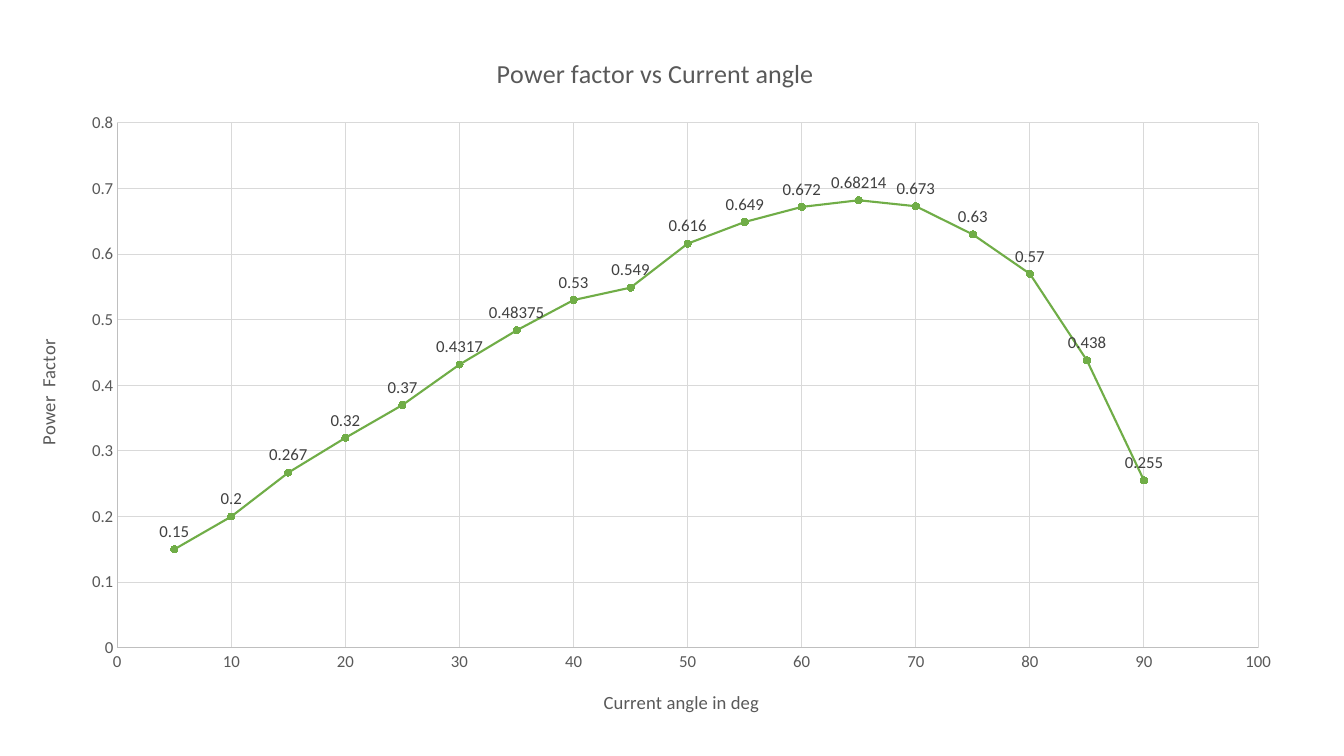
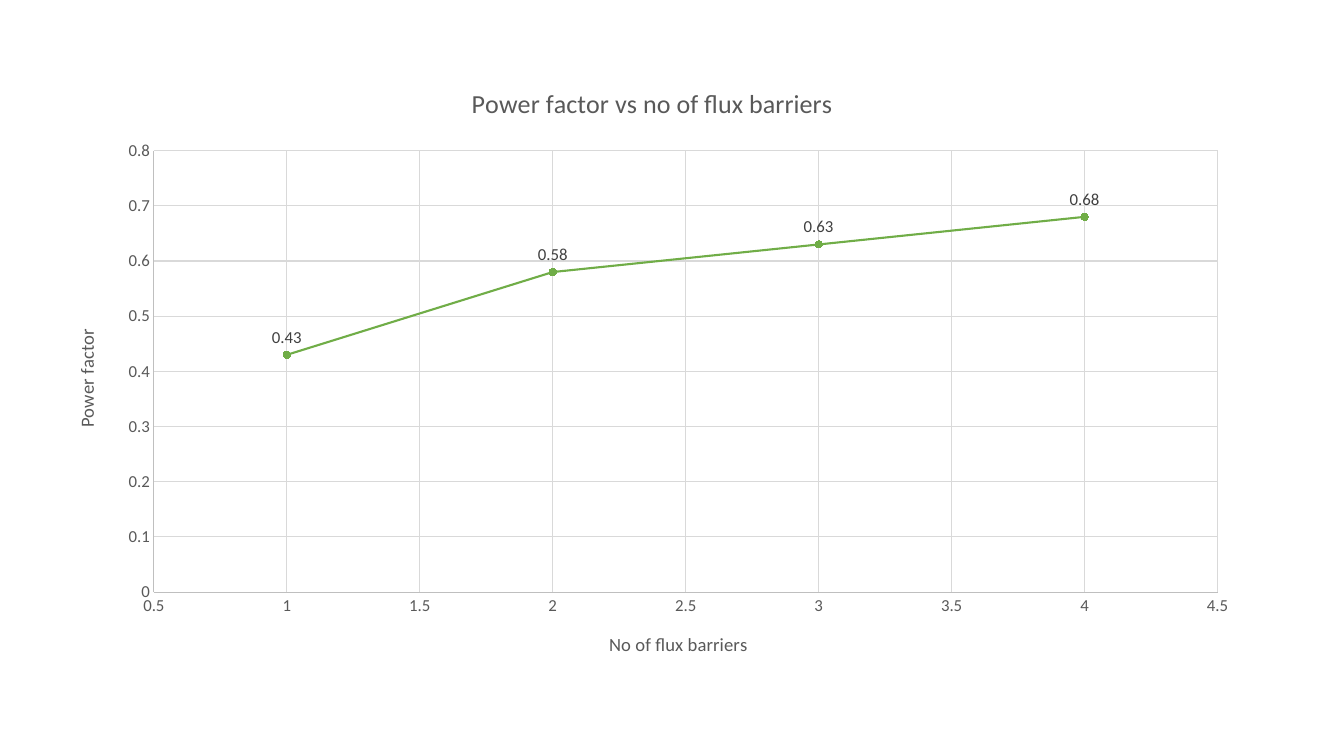
from pptx import Presentation
from pptx.chart.data import XyChartData
from pptx.chart.datalabel import DataLabels
from pptx.dml.color import RGBColor
from pptx.enum import chart as kinds
from pptx.util import Inches, Pt

COLORS = {
    "background": "FFFFFF",
    "text": "595959",
    "label": "404040",
    "axis": "BFBFBF",
    "grid": "D9D9D9",
    "curve": "70AD47",
}
FONT = "Calibri"


def color(name):
    return RGBColor.from_string(COLORS[name])


def style_font(font, size=12, fill="text"):
    font.name = FONT
    font.size = Pt(size)
    font.bold = False
    font.color.rgb = color(fill)


def write(text_frame, text, rotation=None, **style):
    """Put one line of formatted text in a frame, optionally turned in degrees."""
    text_frame.text = text
    paragraph = text_frame.paragraphs[0]
    style_font(paragraph.font, **style)
    style_font(paragraph.runs[0].font, **style)
    if rotation is not None:
        body = paragraph._p.getparent().bodyPr
        body.set("rot", str(rotation * 60000))
        body.set("vert", "horz")


def style_line(line, name, width=0.75):
    line.color.rgb = color(name)
    line.width = Pt(width)


class Deck:
    def __init__(self):
        self.presentation = Presentation()
        self.presentation.slide_width = Inches(13.33)
        self.presentation.slide_height = Inches(7.5)
        self.slide = None

    def add_slide(self):
        blank = self.presentation.slide_layouts[6]
        self.slide = self.presentation.slides.add_slide(blank)
        fill = self.slide.background.fill
        fill.solid()
        fill.fore_color.rgb = color("background")

    def add_scatter(self, kind, box, title, points, x_axis, y_axis):
        data = XyChartData()
        series_data = data.add_series("Series 1")
        for x, y in points:
            series_data.add_data_point(x, y)
        frame = self.slide.shapes.add_chart(kind, *map(Inches, box), data)
        chart = frame.chart
        style_font(chart.font, size=10)
        chart.has_legend = False
        chart.has_title = True
        write(chart.chart_title.text_frame, title, size=18.6)
        chart.plots[0].vary_by_categories = False
        self.style_axis(chart.category_axis, *x_axis)
        self.style_axis(chart.value_axis, *y_axis, rotation=-90)
        self.style_series(chart.plots[0].series[0])

    def style_axis(self, axis, title, low, high, step, rotation=None):
        axis.has_title = True
        write(axis.axis_title.text_frame, title, rotation=rotation, size=13.3)
        axis.minimum_scale, axis.maximum_scale = low, high
        axis.major_unit = step
        axis.major_tick_mark = axis.minor_tick_mark = kinds.XL_TICK_MARK.NONE
        axis.has_major_gridlines = True
        style_line(axis.major_gridlines.format.line, "grid")
        style_line(axis.format.line, "axis")
        style_font(axis.tick_labels.font)

    def style_series(self, series):
        style_line(series.format.line, "curve", 1.5)
        marker = series.marker
        marker.style = kinds.XL_MARKER_STYLE.CIRCLE
        marker.size = 5
        marker.format.fill.solid()
        marker.format.fill.fore_color.rgb = color("curve")
        style_line(marker.format.line, "curve")
        # Scatter series offer their labels through the series element only
        labels = DataLabels(series._element.get_or_add_dLbls())
        style_font(labels.font, fill="label")
        labels.position = kinds.XL_LABEL_POSITION.ABOVE
        labels.show_value = True


def main():
    deck = Deck()

    # Power factor against current angle, measured every 5 degrees
    factors = [0.15, 0.2, 0.267, 0.32, 0.37, 0.4317, 0.48375, 0.53, 0.549,
               0.616, 0.649, 0.672, 0.68214, 0.673, 0.63, 0.57, 0.438, 0.255]
    deck.add_slide()
    deck.add_scatter(
        kinds.XL_CHART_TYPE.XY_SCATTER_LINES,
        (0.14, 0.31, 12.72, 7),
        "Power factor vs Current angle",
        zip(range(5, 95, 5), factors),
        x_axis=("Current angle in deg", 0, 100, 10),
        y_axis=("Power  Factor", 0, 0.8, 0.1),
    )

    # Power factor against number of flux barriers
    deck.add_slide()
    deck.add_scatter(
        kinds.XL_CHART_TYPE.XY_SCATTER_SMOOTH,
        (0.52, 0.62, 11.9, 6.12),
        "Power factor vs no of flux barriers",
        enumerate([0.43, 0.58, 0.63, 0.68], start=1),
        x_axis=("No of flux barriers", 0.5, 4.5, 0.5),
        y_axis=("Power factor", 0, 0.8, 0.1),
    )

    deck.presentation.save("out.pptx")


if __name__ == "__main__":
    main()
